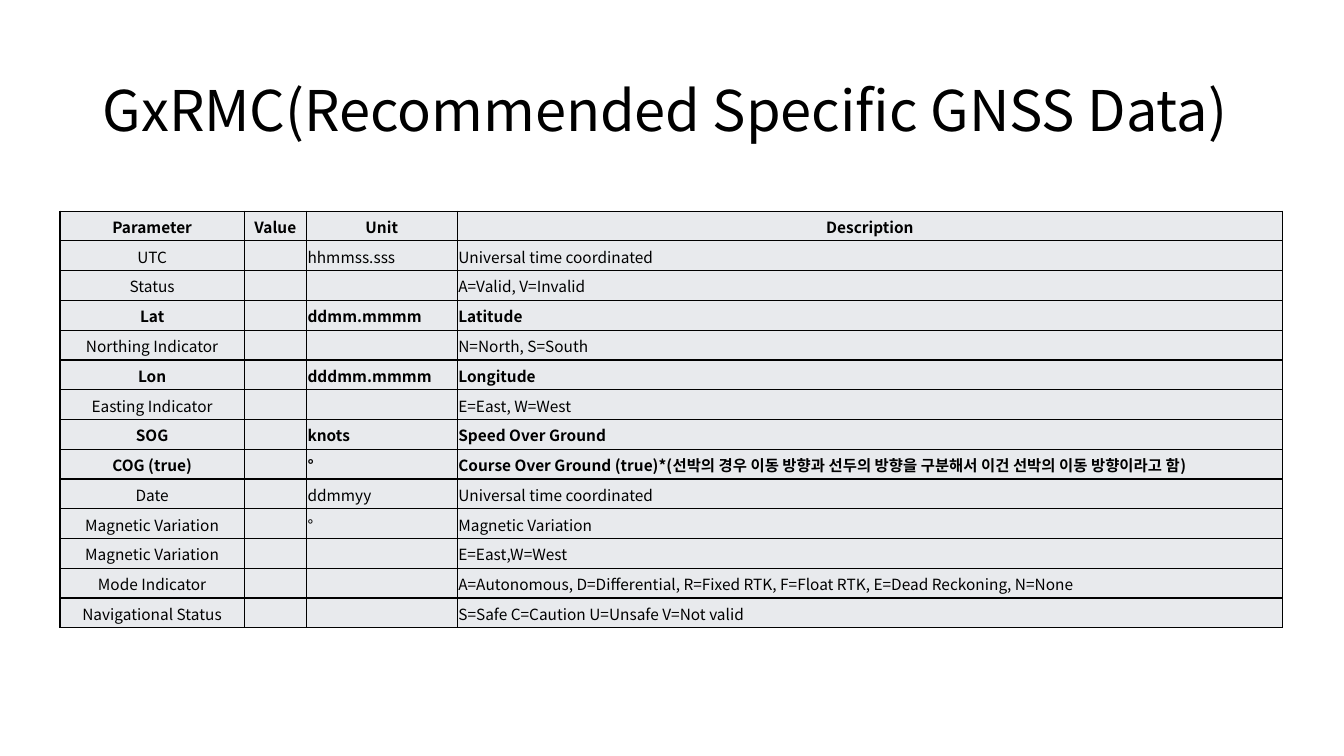
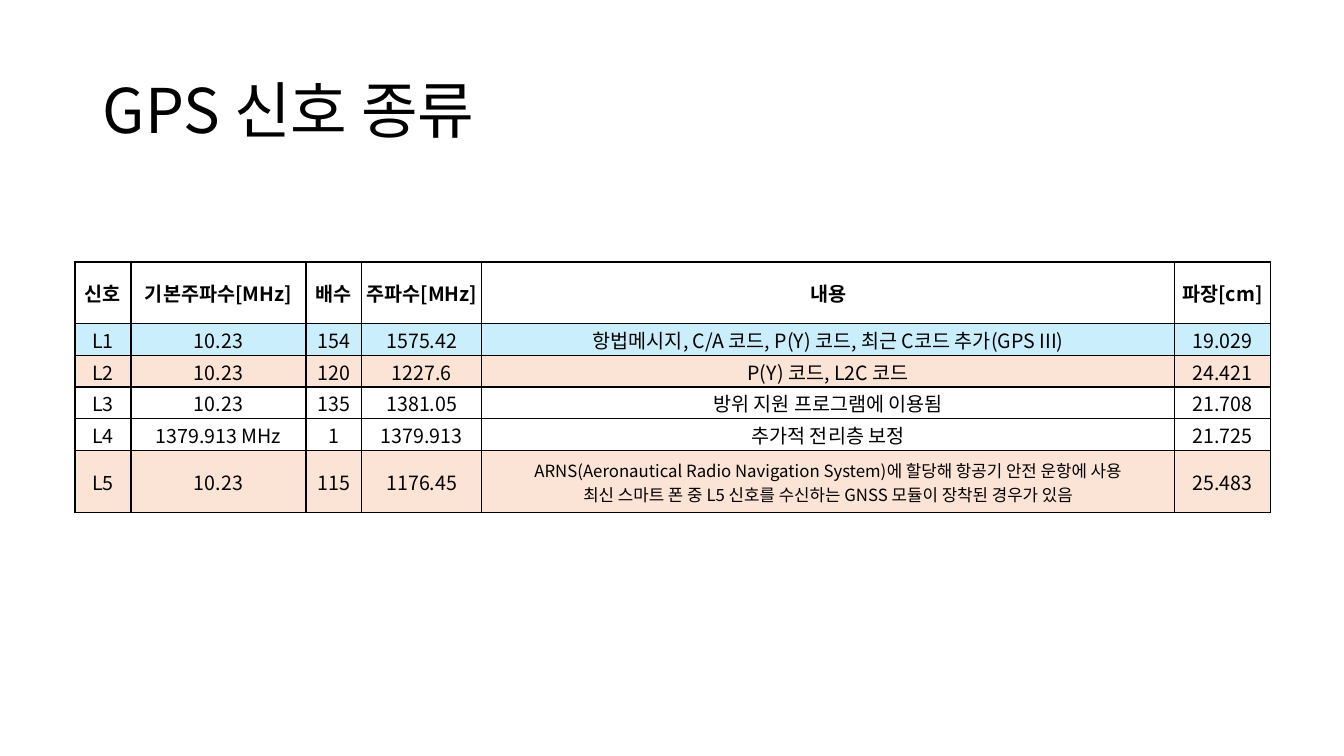
from dataclasses import dataclass

from lxml.etree import SubElement
from pptx import Presentation
from pptx.dml.color import RGBColor as RGB
from pptx.enum.text import MSO_ANCHOR as Anchor, PP_ALIGN as Align
from pptx.oxml.ns import qn
from pptx.util import Cm, Pt


@dataclass(frozen=True)
class Theme:
    font: str = "Noto Sans CJK KR"
    ink: str = "000000"
    grey: str = "E8EAED"
    blue: str = "CAEEFB"
    peach: str = "FBE3D6"
    border: float = 1
    long_title: int = 40
    title: int = 44
    sentence: int = 11
    signal: int = 14
    note: int = 12


THEME = Theme()
TITLE_BOX = (2.34, 1.01, 29.21, 3.68)
SENTENCE_ORIGIN = (1.51, 5.32)
SENTENCE_COLUMNS = (4.65, 1.56, 3.8, 20.81)
SENTENCE_ROW = 0.75
SIGNAL_ORIGIN = (1.89, 6.6)
SIGNAL_COLUMNS = (1.41, 4.41, 1.41, 3.02, 17.46, 2.41)
SIGNAL_ROWS = (1.55, 0.8, 0.8, 0.8, 0.8, 1.57)

SENTENCE_HEADER = ("Parameter", "Value", "Unit", "Description")
SENTENCE_FIELDS = [  # parameter, unit, description
    ("UTC", "hhmmss.sss", "Universal time coordinated"),
    ("Status", "", "A=Valid, V=Invalid"),
    ("Lat", "ddmm.mmmm", "Latitude"),
    ("Northing Indicator", "", "N=North, S=South"),
    ("Lon", "dddmm.mmmm", "Longitude"),
    ("Easting Indicator", "", "E=East, W=West"),
    ("SOG", "knots", "Speed Over Ground"),
    ("COG (true)", "°", "Course Over Ground (true)*(선박의 경우 이동 방향과 "
     "선두의 방향을 구분해서 이건 선박의 이동 방향이라고 함)"),
    ("Date", "ddmmyy", "Universal time coordinated"),
    ("Magnetic Variation", "°", "Magnetic Variation"),
    ("Magnetic Variation", "", "E=East,W=West"),
    ("Mode Indicator", "", "A=Autonomous, D=Differential, R=Fixed RTK, "
     "F=Float RTK, E=Dead Reckoning, N=None"),
    ("Navigational Status", "", "S=Safe C=Caution U=Unsafe V=Not valid"),
]
KEY_FIELDS = {"Lat", "Lon", "SOG", "COG (true)"}

SIGNAL_HEADER = ("신호", "기본주파수[MHz]", "배수", "주파수[MHz]", "내용", "파장[cm]")
SIGNALS = [
    ("L1", "10.23", "154", "1575.42",
     "항법메시지, C/A 코드, P(Y) 코드, 최근 C코드 추가(GPS III)", "19.029"),
    ("L2", "10.23", "120", "1227.6", "P(Y) 코드, L2C 코드", "24.421"),
    ("L3", "10.23", "135", "1381.05", "방위 지원 프로그램에 이용됨", "21.708"),
    ("L4", "1379.913 MHz", "1", "1379.913", "추가적 전리층 보정", "21.725"),
    ("L5", "10.23", "115", "1176.45",
     "ARNS(Aeronautical Radio Navigation System)에 할당해 항공기 안전 운항에 사용\n"
     "최신 스마트 폰 중 L5 신호를 수신하는 GNSS 모듈이 장착된 경우가 있음", "25.483"),
]
SIGNAL_FILLS = {"L1": THEME.blue, "L2": THEME.peach, "L5": THEME.peach}


def add_run(paragraph, text, size, bold=False):
    run = paragraph.add_run()
    run.text = text
    run.font.size = Pt(size)
    run.font.bold = bold
    run.font.name = THEME.font
    run.font.color.rgb = RGB.from_string(THEME.ink)
    # Korean glyphs take the East Asian font
    SubElement(run.font._element, qn("a:ea"), typeface=THEME.font)


def add_title(slide, text, size, box=TITLE_BOX):
    frame = slide.shapes.add_textbox(*map(Cm, box)).text_frame
    frame.word_wrap = True
    frame.vertical_anchor = Anchor.MIDDLE
    heading = frame.paragraphs[0]
    heading.line_spacing = 0.9
    add_run(heading, text, size)


def add_borders(cell):
    properties = cell._tc.get_or_add_tcPr()
    for side in ("lnL", "lnR", "lnT", "lnB"):
        line = SubElement(properties, qn(f"a:{side}"), w=str(Pt(THEME.border)))
        SubElement(SubElement(line, qn("a:solidFill")), qn("a:srgbClr"), val=THEME.ink)


def fill_cell(cell, text, size, bold=False, align=Align.CENTER, fill=None):
    add_borders(cell)
    if fill:
        cell.fill.solid()
        cell.fill.fore_color.rgb = RGB.from_string(fill)
    else:
        cell.fill.background()
    cell.margin_left = cell.margin_right = cell.margin_top = Cm(0.03)
    cell.margin_bottom = 0
    cell.vertical_anchor = Anchor.MIDDLE
    frame = cell.text_frame
    for index, line in enumerate(text.split("\n")):
        paragraph = frame.add_paragraph() if index else frame.paragraphs[0]
        paragraph.alignment = align
        if line:
            add_run(paragraph, line, size, bold)
        else:  # keeps an empty cell from stretching its row
            SubElement(paragraph._p, qn("a:endParaRPr"), sz=str(size * 100))


def add_grid(slide, origin, columns, rows):
    box = (*origin, sum(columns), sum(rows))
    grid = slide.shapes.add_table(len(rows), len(columns), *map(Cm, box)).table
    grid.first_row = grid.horz_banding = False
    for column, width in zip(grid.columns, columns):
        column.width = Cm(width)
    for row, height in zip(grid.rows, rows):
        row.height = Cm(height)
    return grid


def add_sentence_table(slide, origin):
    records = [SENTENCE_HEADER]
    records += [(name, "", unit, meaning) for name, unit, meaning in SENTENCE_FIELDS]
    grid = add_grid(slide, origin, SENTENCE_COLUMNS, [SENTENCE_ROW] * len(records))
    for r, record in enumerate(records):
        bold = r == 0 or record[0] in KEY_FIELDS
        for c, text in enumerate(record):
            align = Align.CENTER if r == 0 or c == 0 else Align.LEFT
            fill_cell(grid.cell(r, c), text, THEME.sentence, bold, align, THEME.grey)


def add_signal_table(slide, origin):
    grid = add_grid(slide, origin, SIGNAL_COLUMNS, SIGNAL_ROWS)
    for r, record in enumerate([SIGNAL_HEADER, *SIGNALS]):
        for c, text in enumerate(record):
            size = THEME.note if "\n" in text else THEME.signal
            fill_cell(grid.cell(r, c), text, size, bold=r == 0,
                      fill=SIGNAL_FILLS.get(record[0]))


def main():
    deck = Presentation()
    deck.slide_width, deck.slide_height = Cm(33.87), Cm(19.05)
    blank = deck.slide_layouts[6]

    # RMC sentence fields
    sentence = deck.slides.add_slide(blank)
    add_title(sentence, "GxRMC(Recommended Specific GNSS Data)", THEME.long_title)
    add_sentence_table(sentence, SENTENCE_ORIGIN)

    # GPS signal types
    signals = deck.slides.add_slide(blank)
    add_title(signals, "GPS 신호 종류", THEME.title)
    add_signal_table(signals, SIGNAL_ORIGIN)

    deck.save("out.pptx")


if __name__ == "__main__":
    main()
